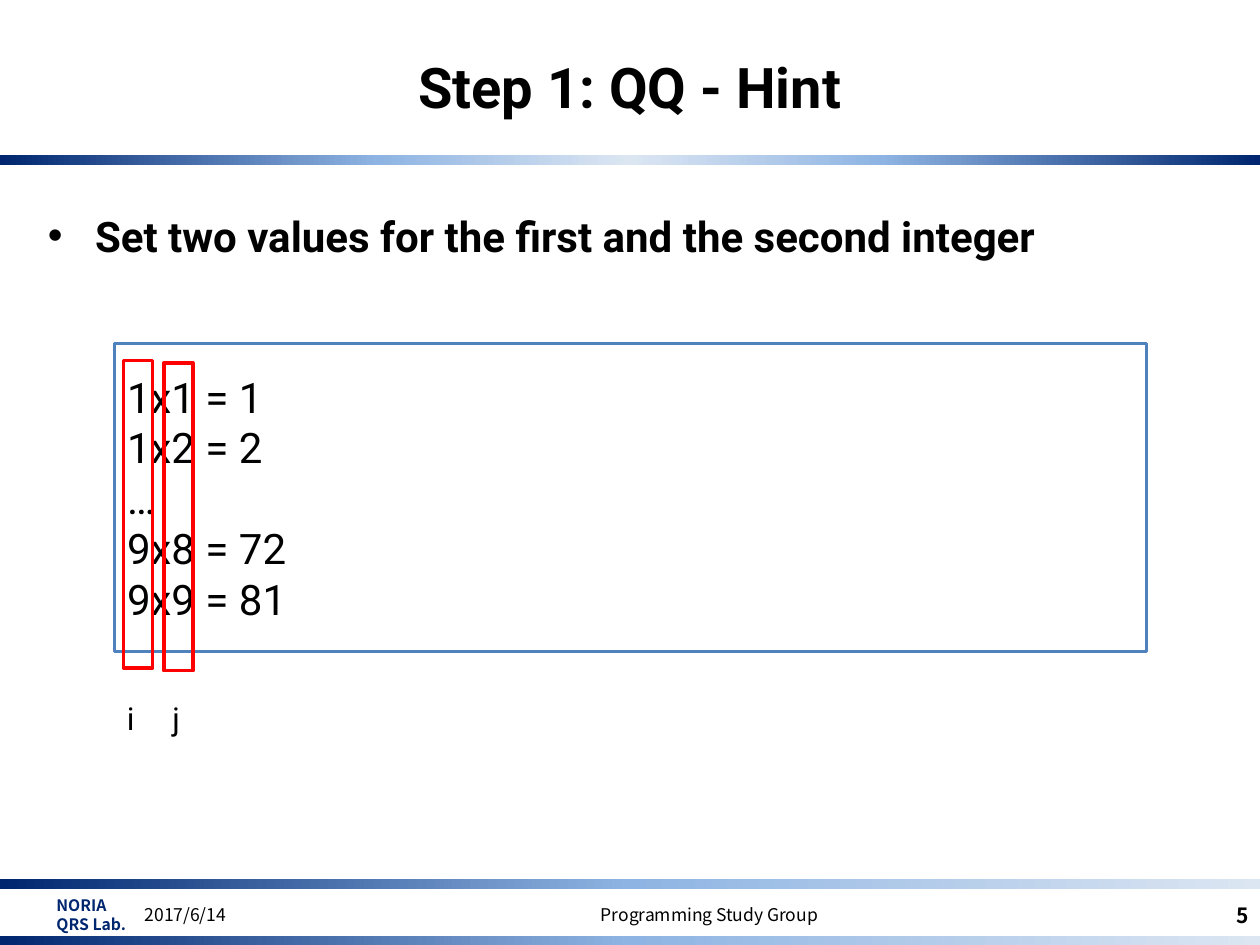
from lxml import etree
from pptx import Presentation
from pptx.dml.color import RGBColor
from pptx.enum import shapes, text
from pptx.oxml import ns
from pptx.util import Pt


class Theme:
    NAVY, SKY, PALE = "00266F", "8EB4E3", "DCE6F2"
    BLACK, WHITE, BLUE, RED = "000000", "FFFFFF", "4F81BD", "FF0000"
    HEAD, FOOT = "Roboto", "Noto Sans CJK JP"
    TITLE, BODY, LABEL, NUMBER, FOOTER, LAB = 32, 24, 18, 12, 10, 9
    LINE = 2


# Content
TITLE = "Step 1: QQ - Hint"
BULLET = "Set two values for the first and the second integer"
PRODUCTS = ["1x1 = 1", "1x2 = 2", "…", "9x8 = 72", "9x9 = 81"]
LAB = ["NORIA", "QRS Lab."]
FADE = [(0, Theme.NAVY), (50, Theme.SKY), (100, Theme.PALE)]
MIRROR = [(0, Theme.NAVY), (30, Theme.SKY), (50, Theme.PALE),
          (70, Theme.SKY), (100, Theme.NAVY)]
BANDS = [(88.4, MIRROR), (502.3, FADE), (534.8, FADE)]  # top, stops
# left, width, align, size, bold, text
FOOTERS = [(75.6, 167.8, "LEFT", Theme.FOOTER, False, "2017/6/14"),
           (223.9, 362.9, "CENTER", Theme.FOOTER, False, "Programming Study Group"),
           (626.4, 94.3, "RIGHT", Theme.NUMBER, True, "5")]
# frame left, frame top, label left, label
COLUMNS = [(70.6, 205.9, 65.5, "i"), (93.6, 207.4, 91.4, "j")]

WIDTH, HEIGHT = 720, 540
BAND_H, FOOT_TOP, FOOT_H = 5.8, 508.3, 28.8
PANEL = (65.5, 196.3, 589.7, 175.9)
FRAME_W, LABEL_TOP, LABEL_W = 16.6, 396, 18.7

deck = Presentation()
deck.slide_width, deck.slide_height = Pt(WIDTH), Pt(HEIGHT)
page = deck.slides.add_slide(deck.slide_layouts[6])


def color(value):
    return RGBColor.from_string(value)


def write(box, lines, size, font=Theme.HEAD, tint=Theme.BLACK, bold=False,
          align="LEFT", anchor="MIDDLE", wrap=True):
    frame = box.text_frame
    frame.word_wrap = wrap
    frame.vertical_anchor = getattr(text.MSO_ANCHOR, anchor)
    for index, line in enumerate(lines):
        para = frame.add_paragraph() if index else frame.paragraphs[0]
        para.alignment = getattr(text.PP_ALIGN, align)
        span = para.add_run()
        span.text = line
        span.font.size, span.font.name, span.font.bold = Pt(size), font, bold
        span.font.color.rgb = color(tint)
        props = span.font._element
        etree.SubElement(props, ns.qn("a:ea")).set("typeface", font)
    return box


def add_text(left, top, width, height, lines, size, **style):
    box = page.shapes.add_textbox(Pt(left), Pt(top), Pt(width), Pt(height))
    return write(box, lines, size, **style)


def add_rect(left, top, width, height, fill=None, line=None):
    box = page.shapes.add_shape(shapes.MSO_SHAPE.RECTANGLE,
                                Pt(left), Pt(top), Pt(width), Pt(height))
    box.shadow.inherit = False
    if fill:
        box.fill.solid()
        box.fill.fore_color.rgb = color(fill)
    else:
        box.fill.background()
    if line:
        box.line.color.rgb = color(line)
        box.line.width = Pt(Theme.LINE)
    else:
        box.line.fill.background()
    return box


def add_band(top, stops):
    band = add_rect(0, top, WIDTH, BAND_H)
    band.fill.gradient()
    band.fill.gradient_angle = 0
    stop_list = band._element.spPr.find(".//" + ns.qn("a:gsLst"))
    for old in list(stop_list):
        stop_list.remove(old)
    for position, tint in stops:
        stop = etree.SubElement(stop_list, ns.qn("a:gs"), pos=str(position * 1000))
        etree.SubElement(stop, ns.qn("a:srgbClr"), val=tint)


# Bands and footer
for top, stops in BANDS:
    add_band(top, stops)
add_text(25.2, FOOT_TOP, 199.4, FOOT_H, LAB, Theme.LAB, font=Theme.FOOT,
         tint=Theme.NAVY, bold=True, anchor="TOP")
for left, width, align, size, bold, words in FOOTERS:
    add_text(left, FOOT_TOP, width, FOOT_H, [words], size,
             font=Theme.FOOT, bold=bold, align=align)

# Title and bullet
add_text(0, 4.3, WIDTH, 90, [TITLE], Theme.TITLE, bold=True, align="CENTER")
body = add_text(20.2, 116.6, 680.4, 380.2, [BULLET], Theme.BODY,
                bold=True, anchor="TOP")
para = body.text_frame.paragraphs[0]
para.space_before = Pt(2.4)
props = para._p.get_or_add_pPr()
props.set("marL", str(Pt(27)))
props.set("indent", str(-Pt(27)))
etree.SubElement(props, ns.qn("a:buFont"), typeface="Arial")
etree.SubElement(props, ns.qn("a:buChar"), char="•")

# Products with the two highlighted columns
panel = add_rect(*PANEL, fill=Theme.WHITE, line=Theme.BLUE)
write(panel, PRODUCTS, Theme.BODY)
for left, top, label_left, label in COLUMNS:
    add_rect(left, top, FRAME_W, PANEL[3], line=Theme.RED)
    add_text(label_left, LABEL_TOP, LABEL_W, FOOT_H, [label], Theme.LABEL,
             anchor="TOP", wrap=False)

deck.save("out.pptx")
